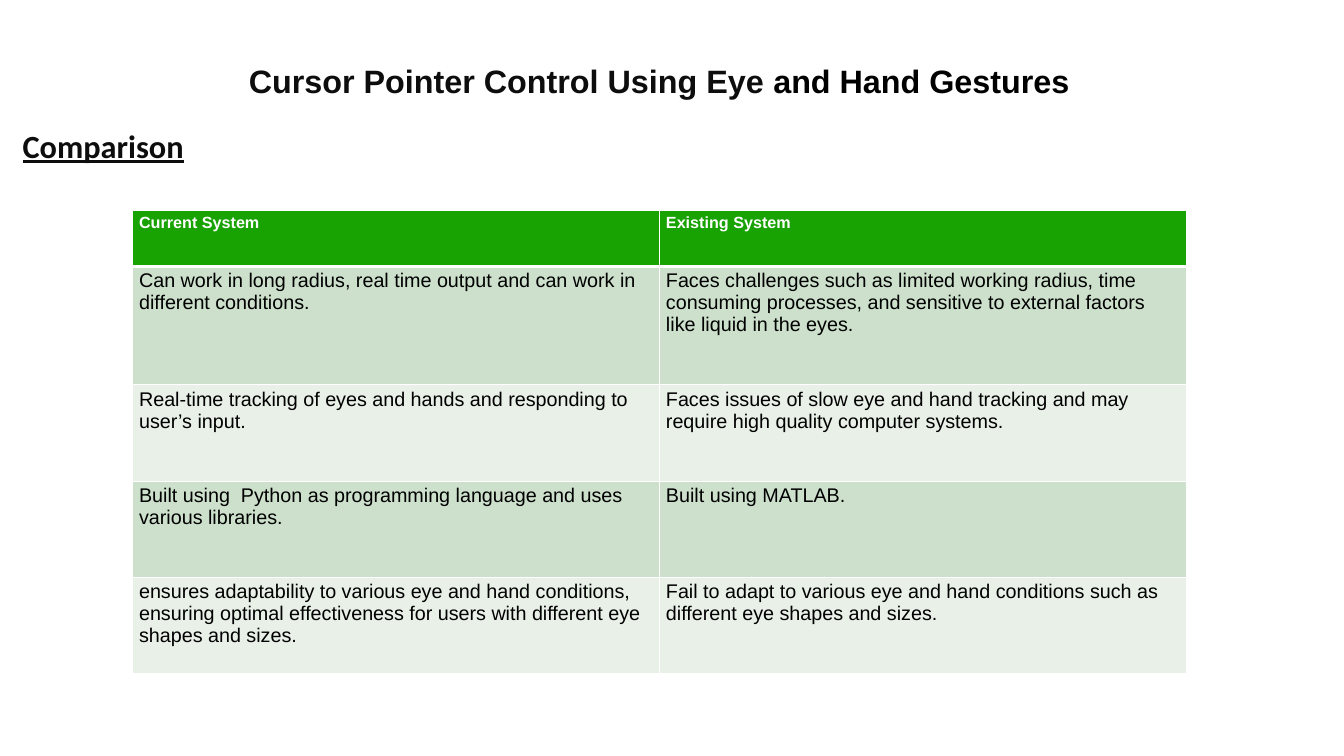
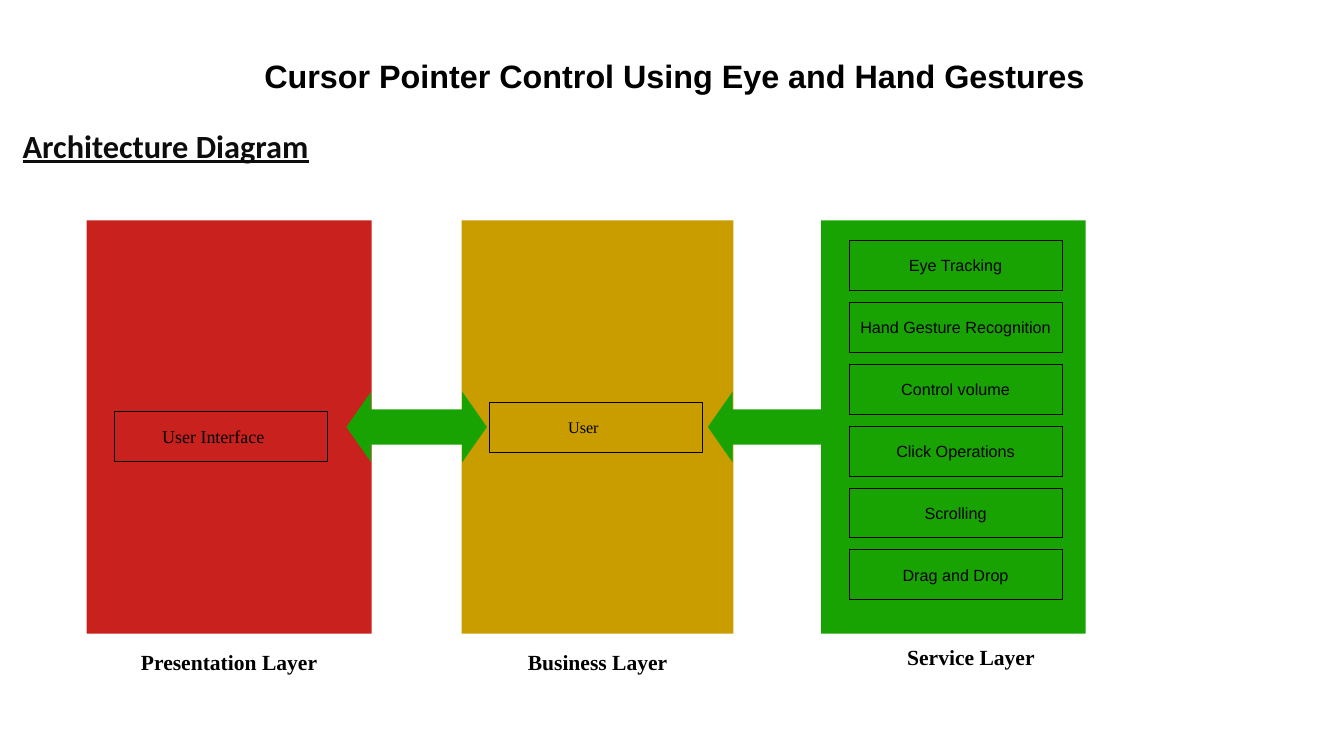
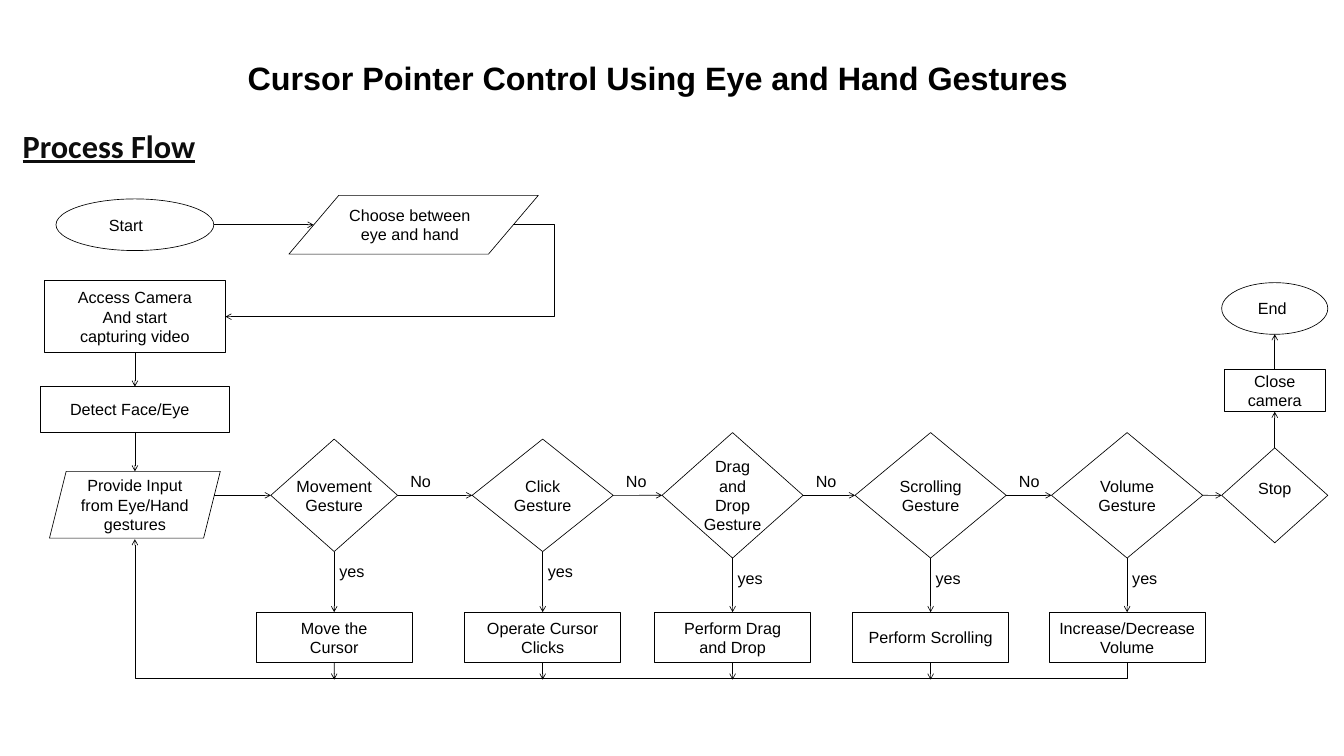
from dataclasses import dataclass

from lxml.etree import SubElement
from pptx import Presentation
from pptx.dml.color import RGBColor
from pptx.enum.shapes import MSO_CONNECTOR as Link, MSO_SHAPE as Preset
from pptx.enum.text import MSO_ANCHOR as Anchor, PP_ALIGN as Align
from pptx.oxml.ns import qn
from pptx.util import Cm, Pt

BLACK, INK, WHITE = "000000", "0D0D0D", "FFFFFF"
RED, GOLD, GREEN = "C9211E", "C99C00", "18A303"
BANDS = ("CCE0CC", "E8F0E7")
SANS, SERIF, HEADING = "Arial", "Times New Roman", "Calibri"
TOP, LEFT, BOTTOM, RIGHT = range(4)


@dataclass
class Box:
    left: float
    top: float
    width: float
    height: float

    def inner(self, left, top, width, height):
        """A box placed relative to this one."""
        return Box(self.left + left, self.top + top, width, height)

    def centred(self, x, y, width, height):
        """A box whose centre is given relative to this one."""
        return self.inner(x - width / 2, y - height / 2, width, height)

    def lengths(self):
        return Cm(self.left), Cm(self.top), Cm(self.width), Cm(self.height)


def colour(code):
    return RGBColor.from_string(code)


# Text
def add_span(para, text, size, font=SANS, ink=BLACK, bold=False, underline=False):
    span = para.add_run()
    span.text = text
    span.font.name, span.font.size = font, Pt(size)
    span.font.bold, span.font.underline = bold, underline
    span.font.color.rgb = colour(ink)


def fill_frame(frame, text, size=18, align=Align.CENTER, anchor=Anchor.MIDDLE,
               right=0, bottom=0, **style):
    """Writes one paragraph per line; right and bottom insets shift the text."""
    frame.word_wrap = False
    frame.vertical_anchor = anchor
    frame.margin_left = frame.margin_top = 0
    frame.margin_right, frame.margin_bottom = Cm(right), Cm(bottom)
    for index, line in enumerate(text.split("\n")):
        para = frame.add_paragraph() if index else frame.paragraphs[0]
        para.alignment = align
        add_span(para, line, size, **style)


def add_label(page, box, text, **style):
    label = page.shapes.add_textbox(*box.lengths())
    fill_frame(label.text_frame, text, **style)


# Shapes and connectors
def add_node(page, kind, box, text="", fill=None, line=BLACK, **style):
    node = page.shapes.add_shape(kind, *box.lengths())
    node.shadow.inherit = False
    if fill:
        node.fill.solid()
        node.fill.fore_color.rgb = colour(fill)
    else:
        node.fill.background()
    if line:
        node.line.color.rgb = colour(line)
        node.line.width = Pt(0.75)
    else:
        node.line.fill.background()
    if text:
        fill_frame(node.text_frame, text, **style)
    return node


def add_link(page, kind, start, end):
    link = page.shapes.add_connector(kind, *(Cm(value) for value in (*start, *end)))
    link.line.color.rgb = colour(BLACK)
    link.line.width = Pt(0.75)
    SubElement(link.line._get_or_add_ln(), qn("a:tailEnd"), type="arrow")
    SubElement(link.element.spPr, qn("a:effectLst"))
    return link


def add_arrow(page, start, end):
    """Each end is a point (x, y) or a joint (shape, side)."""
    points = [(0, 0) if hasattr(place[0], "shape_id") else place
              for place in (start, end)]
    link = add_link(page, Link.STRAIGHT, *points)
    for place, join in ((start, link.begin_connect), (end, link.end_connect)):
        if hasattr(place[0], "shape_id"):
            join(*place)


def add_elbow(page, start, end, overshoot, turned=False):
    """Leaves start, runs past it by overshoot and comes back to end."""
    if turned:
        x, y = (start[0] + end[0]) / 2, (start[1] + end[1]) / 2
        start, end = [(x + py - y, y - px + x) for px, py in (start, end)]
    link = add_link(page, Link.ELBOW, start, end)
    if turned:
        link.element.spPr.find(qn("a:xfrm")).set("rot", "5400000")
    geometry = link.element.spPr.find(qn("a:prstGeom"))
    guides = geometry.find(qn("a:avLst"))
    if guides is None:
        guides = SubElement(geometry, qn("a:avLst"))
    ratio = round(-100000 * overshoot / abs(end[0] - start[0]))
    SubElement(guides, qn("a:gd"), name="adj1", fmla=f"val {ratio}")


# Title and heading shared by all slides
def add_page(deck, heading, left, top, title):
    page = deck.slides.add_slide(deck.slide_layouts[6])
    frame = page.shapes.add_textbox(*Box(left, top, 43.82, 2.31).lengths()).text_frame
    fill_frame(frame, title[0][0], size=36, ink=title[0][1], bold=True)
    frame.word_wrap = True
    for text, ink in title[1:]:
        add_span(frame.paragraphs[0], text, 36, ink=ink, bold=True)
    add_label(page, Box(0.89, 4.96, 19.2, 1.5), heading, size=36, font=HEADING,
              ink=INK, bold=True, underline=True, align=Align.LEFT, anchor=Anchor.TOP)
    return page


# Comparison table
COMPARISON = [
    ("Current System", "Existing System"),
    ("Can work in long radius, real time output and can work in different conditions.",
     "Faces challenges such as limited working radius, time consuming processes, "
     "and sensitive to external factors like liquid in the eyes."),
    ("Real-time tracking of eyes and hands and responding to user’s input.",
     "Faces issues of slow eye and hand tracking and may require high quality "
     "computer systems."),
    ("Built using  Python as programming language and uses various libraries.",
     "Built using MATLAB."),
    ("ensures adaptability to various eye and hand conditions, ensuring optimal "
     "effectiveness for users with different eye shapes and sizes.",
     "Fail to adapt to various eye and hand conditions such as different eye shapes "
     "and sizes."),
]
ROW_HEIGHTS = (2.21, 4.65, 3.78, 3.78, 3.78)


def add_cell_border(cell, side, width):
    border = SubElement(cell._tc.get_or_add_tcPr(), qn(f"a:ln{side}"), w=str(Pt(width)))
    SubElement(SubElement(border, qn("a:solidFill")), qn("a:srgbClr"), val=WHITE)


def draw_comparison(page, box):
    table = page.shapes.add_table(len(COMPARISON), 2, *box.lengths()).table
    for row, (texts, height) in enumerate(zip(COMPARISON, ROW_HEIGHTS)):
        table.rows[row].height = Cm(height)
        header = row == 0
        for column, text in enumerate(texts):
            cell = table.cell(row, column)
            for side in "LRTB":
                thick = (row, side) in ((0, "B"), (1, "T"))
                add_cell_border(cell, side, 3 if thick else 1)
            cell.fill.solid()
            cell.fill.fore_color.rgb = colour(GREEN if header else BANDS[(row - 1) % 2])
            add_span(cell.text_frame.paragraphs[0], text, 18 if header else 22,
                     ink=WHITE if header else BLACK, bold=header)


# Architecture diagram
@dataclass
class Layer:
    name: str
    fill: str
    left: float
    width: float
    first: float
    functions: tuple
    style: dict
    caption_shift: tuple = (0, 0)


LAYERS = [
    Layer("Presentation Layer", RED, 0, 11.2, 7.52, ("User Interface",),
          {"font": SERIF, "size": 20, "right": 0.6}),
    Layer("Business Layer", GOLD, 14.74, 10.67, 7.14, ("User",),
          {"font": SERIF, "size": 18, "right": 1}),
    Layer("Service Layer", GREEN, 28.86, 10.39, 0.79,
          ("Eye Tracking", "Hand Gesture Recognition", "Control volume",
           "Click Operations", "Scrolling", "Drag and Drop"), {}, (0.69, -0.2)),
]
FUNCTION_PITCH = 2.43
EXCHANGES = (10.21, 24.41)


def draw_layer(page, box, layer):
    add_node(page, Preset.RECTANGLE, box, fill=layer.fill, line=None)
    for index, function in enumerate(layer.functions):
        place = box.inner(1.1, layer.first + index * FUNCTION_PITCH, 8.36, 1.96)
        add_node(page, Preset.RECTANGLE, place, function, **layer.style)
    dx, dy = layer.caption_shift
    add_label(page, box.inner(dx, box.height + 0.6 + dy, box.width, 1.02), layer.name,
              size=24, font=SERIF, bold=True, anchor=Anchor.TOP)


def draw_architecture(page, box):
    for layer in LAYERS:
        draw_layer(page, box.inner(layer.left, 0, layer.width, box.height), layer)
    for left in EXCHANGES:
        arrow = add_node(page, Preset.LEFT_RIGHT_ARROW, box.inner(left, 6.73, 5.52, 2.77),
                         fill=GREEN, line=None)
        arrow.adjustments[0], arrow.adjustments[1] = 0.5, 0.35


# Process flow: centre, width and height of the diamond, question, action
GESTURES = [
    (11.53, 4.98, 4.42, "Movement\nGesture", "Move the\nCursor"),
    (19.72, 5.54, 4.42, "Click\nGesture", "Operate Cursor\nClicks"),
    (27.18, 5.54, 4.93, "Drag\nand\nDrop\nGesture", "Perform Drag\nand Drop"),
    (34.96, 5.94, 4.93, "Scrolling\nGesture", "Perform Scrolling"),
    (42.68, 5.94, 4.93, "Volume\nGesture", "Increase/Decrease\nVolume"),
]
INPUT_X, END_X = 3.7, 48.48
START_Y, GESTURE_Y, ACTION_Y, RETURN_Y = 1.23, 11.86, 17.44, 19.05


def draw_input_steps(page, box):
    def point(x, y):
        return box.left + x, box.top + y

    def step(kind, y, width, height, text, x=INPUT_X, **style):
        return add_node(page, kind, box.centred(x, y, width, height), text, **style)

    step(Preset.OVAL, START_Y, 6.2, 2.03, "Start", right=0.7)
    step(Preset.FLOWCHART_DATA, START_Y, 9.8, 2.31, "Choose between\neye and hand",
         x=14.65, right=0.3)
    access = step(Preset.RECTANGLE, 4.84, 7.11, 2.84,
                  "Access Camera\nAnd start\ncapturing video")
    detect = step(Preset.RECTANGLE, 8.48, 7.39, 1.78, "Detect Face/Eye", right=0.4)
    step(Preset.PARALLELOGRAM, 12.23, 6.71, 2.62, "Provide Input\nfrom Eye/Hand\ngestures")
    add_arrow(page, point(6.8, START_Y), point(10.72, START_Y))
    add_elbow(page, point(18.57, START_Y), point(7.26, 4.84), 1.62)
    add_arrow(page, (access, BOTTOM), (detect, TOP))
    add_arrow(page, (detect, BOTTOM), point(INPUT_X, 10.92))


def draw_gestures(page, box):
    """Draws the five questions with their actions; returns the last question."""
    previous = (box.left + 6.8, box.top + GESTURE_Y)
    last = len(GESTURES) - 1
    for index, (x, width, height, question, action) in enumerate(GESTURES):
        diamond = add_node(page, Preset.DIAMOND,
                           box.centred(x, GESTURE_Y, width, height), question)
        task = add_node(page, Preset.RECTANGLE,
                        box.centred(x, ACTION_Y, 6.12, 1.98), action)
        add_arrow(page, previous, (diamond, LEFT))
        add_arrow(page, (diamond, BOTTOM), (task, TOP))
        answers = [("yes", x + 0.2, GESTURE_Y + height / 2 + 0.4)]
        if index < last:
            answers.append(("No", x + width / 2 + 0.5, 10.9))
            add_arrow(page, (task, BOTTOM), (box.left + x, box.top + RETURN_Y + 0.05))
        for text, left, top in answers:
            add_label(page, box.inner(left, top, 1, 0.76), text,
                      align=Align.LEFT, anchor=Anchor.TOP)
        previous = (diamond, RIGHT)
    # Way back to the input
    bottom = ACTION_Y + 0.99
    add_elbow(page, (box.left + x, box.top + bottom),
              (box.left + INPUT_X, box.top + 13.58), RETURN_Y - bottom, turned=True)
    return diamond


def draw_closing_steps(page, box, question):
    stop = add_node(page, Preset.DIAMOND, box.centred(END_X, GESTURE_Y, 4.17, 3.73),
                    "Stop", bottom=0.55)
    close = add_node(page, Preset.RECTANGLE, box.centred(END_X, 7.75, 3.99, 1.65),
                     "Close\ncamera")
    add_node(page, Preset.OVAL, box.centred(END_X, 4.52, 4.17, 2.03), "End", right=0.2)
    add_arrow(page, (question, RIGHT), (stop, LEFT))
    add_arrow(page, (stop, TOP), (close, BOTTOM))
    add_arrow(page, (close, TOP), (box.left + END_X, box.top + 5.53))


def draw_process(page, box):
    draw_input_steps(page, box)
    question = draw_gestures(page, box)
    draw_closing_steps(page, box, question)


def main():
    deck = Presentation()
    deck.slide_width, deck.slide_height = Cm(52.8), Cm(29.7)
    start, rest = "Cursor Pointer Control Using Eye ", "and Hand Gestures"
    plain = [(start + rest, BLACK)]

    page = add_page(deck, "Comparison", 3.99, 2.03, [(start, INK), (rest, BLACK)])
    draw_comparison(page, Box(5.21, 8.26, 41.4, 18.2))
    page = add_page(deck, "Architecture Diagram", 4.6, 1.8, plain)
    draw_architecture(page, Box(3.4, 8.66, 39.25, 16.23))
    page = add_page(deck, "Process Flow", 3.94, 1.88, plain)
    draw_process(page, Box(1.6, 7.6, 50.6, 19.1))
    deck.save("out.pptx")


if __name__ == "__main__":
    main()
